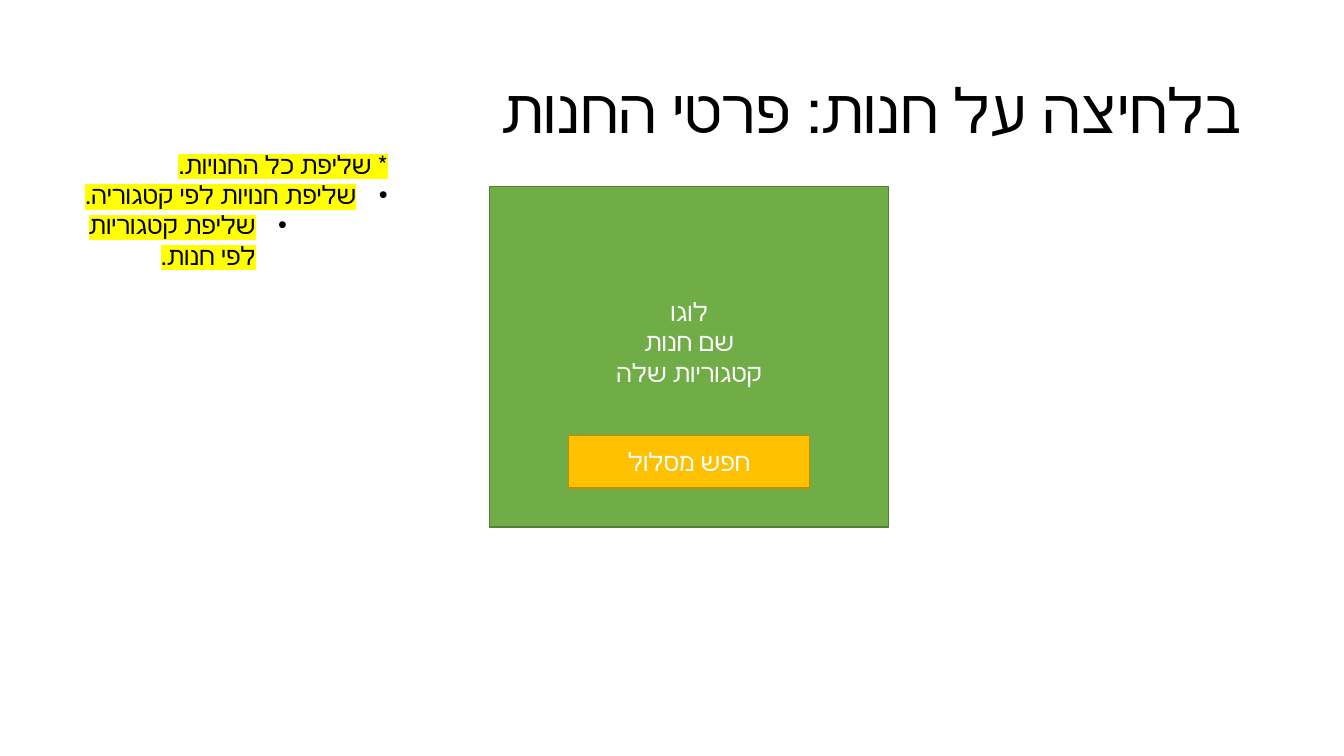
from dataclasses import dataclass

import pptx
import pptx.util
from lxml import etree
from pptx.dml.color import RGBColor
from pptx.enum.lang import MSO_LANGUAGE_ID
from pptx.enum.shapes import MSO_SHAPE
from pptx.enum.text import MSO_ANCHOR, MSO_AUTO_SIZE, PP_ALIGN
from pptx.oxml.ns import qn

SLIDE_W = pptx.util.Inches(13.33)
SLIDE_H = pptx.util.Inches(7.5)


@dataclass(frozen=True)
class Theme:
    font: str = "Calibri"
    title_size: int = 44
    body_size: int = 18
    dark: str = "000000"
    light: str = "FFFFFF"
    highlight: str = "FFFF00"
    card: str = "70AD47"
    card_line: str = "538035"
    button: str = "FFC000"
    button_line: str = "BD8E00"


THEME = Theme()


@dataclass(frozen=True)
class Area:
    """A rectangle in percent of the slide's width and height."""
    left: float
    top: float
    width: float
    height: float

    def box(self) -> tuple[int, int, int, int]:
        return (int(SLIDE_W * self.left / 100), int(SLIDE_H * self.top / 100),
                int(SLIDE_W * self.width / 100), int(SLIDE_H * self.height / 100))


@dataclass(frozen=True)
class Panel:
    area: Area
    lines: tuple[str, ...]
    fill: str
    line: str
    bottom_inset: float = 0.05


@dataclass(frozen=True)
class Note:
    text: str
    indent: float = 0
    level: int = 0
    bullet: bool = True


TITLE = "בלחיצה על חנות: פרטי החנות"
TITLE_AREA = Area(6.9, 5.33, 86.25, 19.33)
NOTES_AREA = Area(4.9, 19.07, 24.68, 21.6)
HANGING = 0.31

PANELS = (
    Panel(Area(36.42, 24.67, 29.71, 45.07), ("לוגו", "שם חנות", "קטגוריות שלה"),
          THEME.card, THEME.card_line, bottom_inset=0.35),
    Panel(Area(42.31, 57.6, 17.93, 6.97), ("חפש מסלול",),
          THEME.button, THEME.button_line),
)

NOTES = (
    Note("* שליפת כל החנויות.", bullet=False),
    Note("שליפת חנויות לפי קטגוריה.", HANGING),
    Note("שליפת קטגוריות לפי חנות.", 1 + HANGING, level=1),
)


def format_rtl(p, align: PP_ALIGN, size: int, color: str) -> None:
    p.alignment = align
    p._p.get_or_add_pPr().set("rtl", "1")
    for r in p.runs:
        r.font.size = pptx.util.Pt(size)
        r.font.name = THEME.font
        r.font.language_id = MSO_LANGUAGE_ID.HEBREW
        r.font.color.rgb = RGBColor.from_string(color)


def add_bullet(p, indent: float) -> None:
    pPr = p._p.get_or_add_pPr()
    pPr.set("marL", str(pptx.util.Inches(indent)))
    pPr.set("indent", str(-pptx.util.Inches(HANGING)))
    etree.SubElement(pPr, qn("a:buFont"), typeface="Arial")
    etree.SubElement(pPr, qn("a:buChar"), char="•")


def highlight_runs(p, color: str) -> None:
    for r in p.runs:
        mark = etree.Element(qn("a:highlight"))
        etree.SubElement(mark, qn("a:srgbClr"), val=color)
        r._r.rPr.find(qn("a:latin")).addprevious(mark)


def set_title(s) -> None:
    sp = s.shapes.title
    sp.left, sp.top, sp.width, sp.height = TITLE_AREA.box()
    tf = sp.text_frame
    tf.text = TITLE
    tf.word_wrap = True
    tf.auto_size = MSO_AUTO_SIZE.NONE
    tf.vertical_anchor = MSO_ANCHOR.MIDDLE
    p = tf.paragraphs[0]
    p.line_spacing = 0.9
    format_rtl(p, PP_ALIGN.RIGHT, THEME.title_size, THEME.dark)


def add_panel(s, panel: Panel) -> None:
    sp = s.shapes.add_shape(MSO_SHAPE.RECTANGLE, *panel.area.box())
    sp.shadow.inherit = False
    sp.fill.solid()
    sp.fill.fore_color.rgb = RGBColor.from_string(panel.fill)
    sp.line.color.rgb = RGBColor.from_string(panel.line)
    sp.line.width = pptx.util.Pt(1)
    tf = sp.text_frame
    tf.text = "\n".join(panel.lines)
    tf.word_wrap = True
    tf.vertical_anchor = MSO_ANCHOR.MIDDLE
    tf.margin_bottom = pptx.util.Inches(panel.bottom_inset)
    for p in tf.paragraphs:
        format_rtl(p, PP_ALIGN.CENTER, THEME.body_size, THEME.light)


def add_notes(s, notes: tuple[Note, ...]) -> None:
    tf = s.shapes.add_textbox(*NOTES_AREA.box()).text_frame
    tf.text = "\n".join(note.text for note in notes)
    tf.word_wrap = True
    tf.auto_size = MSO_AUTO_SIZE.SHAPE_TO_FIT_TEXT
    for p, note in zip(tf.paragraphs, notes):
        p.level = note.level
        format_rtl(p, PP_ALIGN.RIGHT, THEME.body_size, THEME.dark)
        highlight_runs(p, THEME.highlight)
        if note.bullet:
            add_bullet(p, note.indent)


def main() -> None:
    prs = pptx.Presentation()
    prs.slide_width, prs.slide_height = SLIDE_W, SLIDE_H
    s = prs.slides.add_slide(prs.slide_layouts.get_by_name("Title Only"))
    set_title(s)
    for panel in PANELS:
        add_panel(s, panel)
    add_notes(s, NOTES)
    prs.save("out.pptx")


if __name__ == "__main__":
    main()
